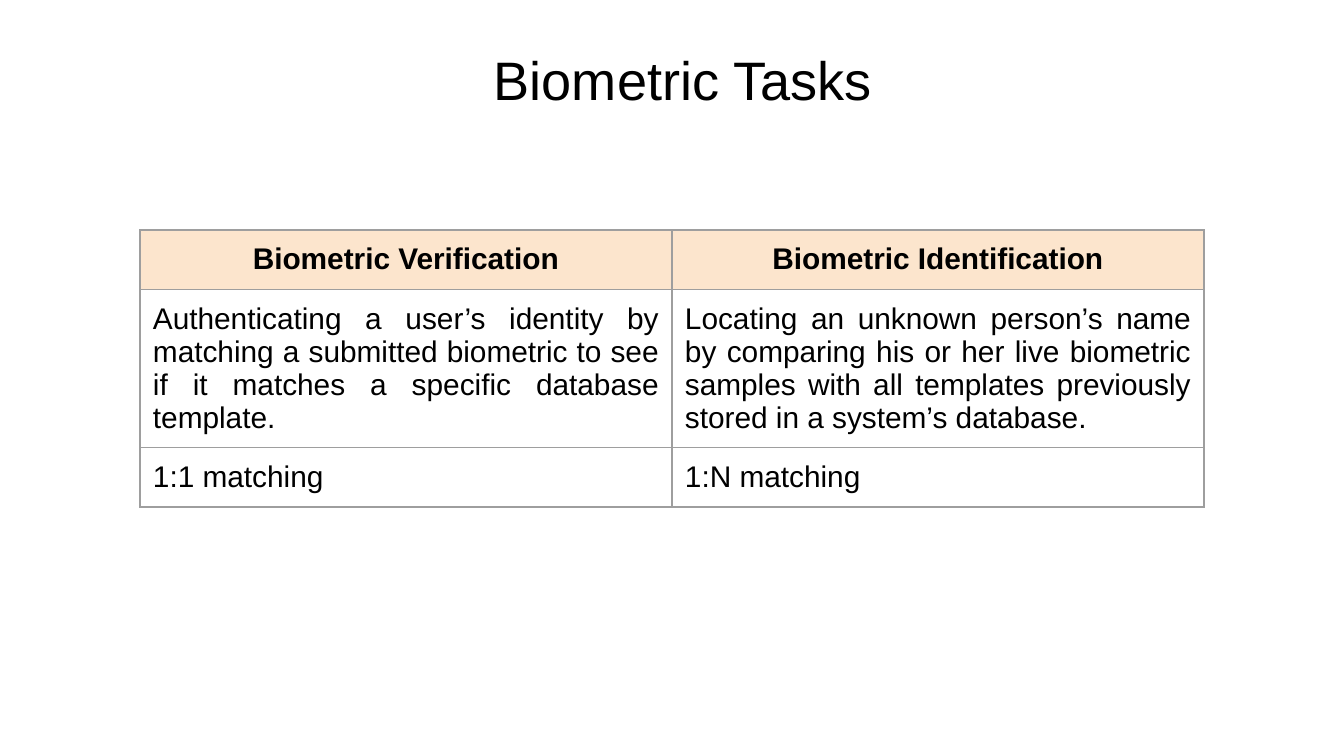
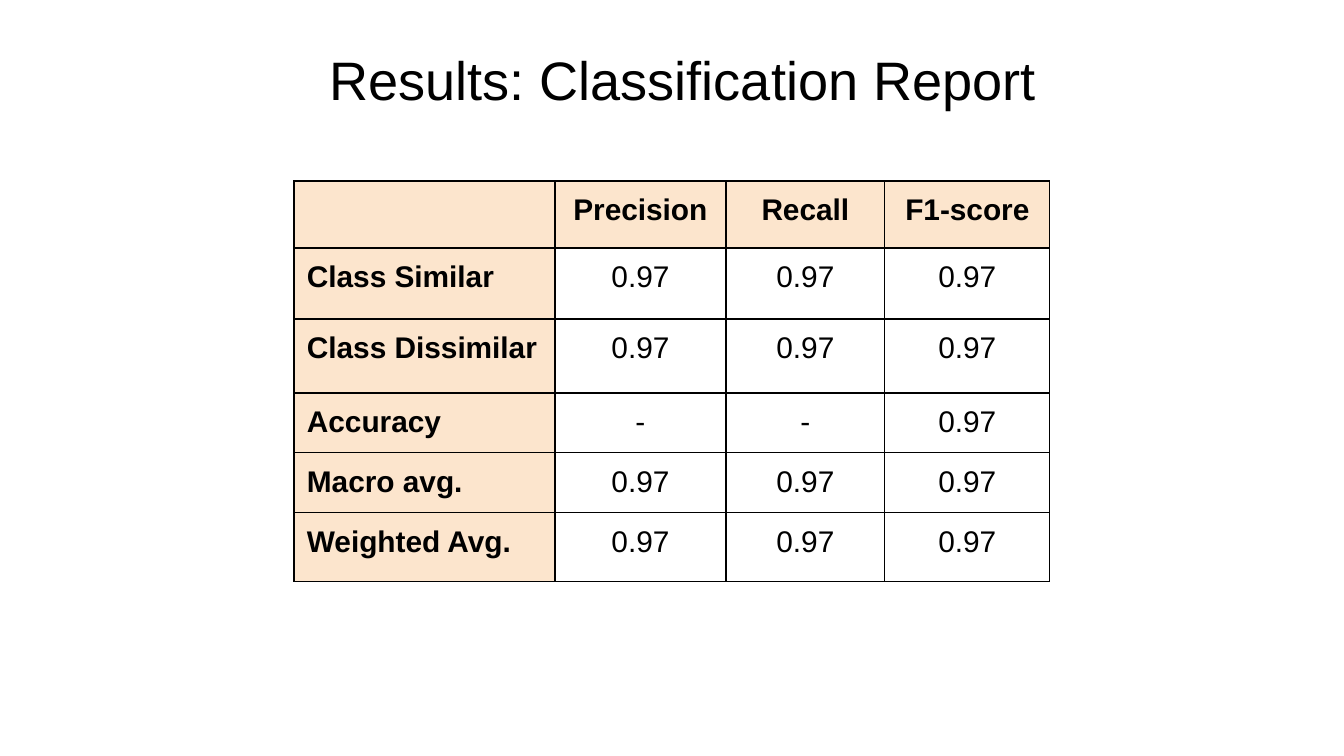
from lxml import etree
from pptx import Presentation
from pptx import util as u
from pptx.dml.color import RGBColor
from pptx.enum import text
from pptx.oxml import ns

PX = 914400 / 134.4  # EMU in one px
FONT, BLACK, PEACH = "Arial", "000000", "FCE5CD"
INSET = 13
TITLE_BOX = (118, 34, 1130, 90)
NO_STYLE = "{2D5ABB26-0587-4C30-8999-92F81FD0307C}"
LEFT, CENTER, JUSTIFY = text.PP_ALIGN.LEFT, text.PP_ALIGN.CENTER, text.PP_ALIGN.JUSTIFY

SCORE = "0.97"
SLIDES = [
    dict(
        title="Biometric Tasks",
        corner=(140, 230), widths=[532, 532], heights=[56, 56, 56],
        border="9E9E9E", label_column=False, body_align=JUSTIFY,
        rows=[
            ["Biometric Verification", "Biometric Identification"],
            ["Authenticating a user’s identity by matching a submitted biometric "
             "to see if it matches a specific database template. ",
             "Locating an unknown person’s name by comparing his or her live biometric "
             "samples with all templates previously stored in a system’s database."],
            ["1:1 matching", "1:N matching"],
        ],
    ),
    dict(
        title="Results: Classification Report",
        corner=(294, 181), widths=[261, 171, 159, 165], heights=[65, 71, 74, 60, 60, 69],
        border=BLACK, label_column=True, body_align=CENTER,
        rows=[
            ["", "Precision", "Recall", "F1-score"],
            ["Class Similar", SCORE, SCORE, SCORE],
            ["Class Dissimilar", SCORE, SCORE, SCORE],
            ["Accuracy", "-", "-", SCORE],
            ["Macro avg.", SCORE, SCORE, SCORE],
            ["Weighted Avg.", SCORE, SCORE, SCORE],
        ],
    ),
]


def px(length):
    return u.Emu(round(length * PX))


def color(value):
    return RGBColor.from_string(value)


def write(frame, words, size=16, bold=False, align=LEFT):
    para = frame.paragraphs[0]
    para.alignment = align
    if words:
        span = para.add_run()
        span.text = words
        span.font.name, span.font.size, span.font.bold = FONT, u.Pt(size), bold
        span.font.color.rgb = color(BLACK)


def set_insets(holder):
    holder.margin_left = holder.margin_right = px(INSET)
    holder.margin_top = holder.margin_bottom = px(INSET)


def add_borders(cell, line_color):
    """Draw all four cell edges; call before the cell gets its fill."""
    properties = cell._tc.get_or_add_tcPr()
    for edge in ("a:lnL", "a:lnR", "a:lnT", "a:lnB"):
        line = etree.SubElement(properties, ns.qn(edge), w=str(u.Pt(0.75)))
        fill = etree.SubElement(line, ns.qn("a:solidFill"))
        etree.SubElement(fill, ns.qn("a:srgbClr"), val=line_color)


def add_title(page, words):
    box = page.shapes.title
    box.left, box.top, box.width, box.height = map(px, TITLE_BOX)
    frame = box.text_frame
    frame.auto_size = text.MSO_AUTO_SIZE.NONE
    frame.word_wrap = True
    frame.vertical_anchor = text.MSO_ANCHOR.BOTTOM
    set_insets(frame)
    write(frame, words, size=29, align=CENTER)


def add_grid(page, rows, corner, widths, heights, border, label_column, body_align):
    frame = page.shapes.add_table(
        len(rows), len(widths), *map(px, (*corner, sum(widths), sum(heights))))
    table = frame.table
    table.first_row = table.horz_banding = False
    table._tbl.tblPr.find(ns.qn("a:tableStyleId")).text = NO_STYLE
    for column, width in zip(table.columns, widths):
        column.width = px(width)
    for row, height in zip(table.rows, heights):
        row.height = px(height)

    for r, line in enumerate(rows):
        for c, words in enumerate(line):
            cell = table.cell(r, c)
            header, label = r == 0, label_column and c == 0
            set_insets(cell)
            add_borders(cell, border)
            if header or label:
                cell.fill.solid()
                cell.fill.fore_color.rgb = color(PEACH)
            else:
                cell.fill.background()
            align = CENTER if header else LEFT if label else body_align
            write(cell.text_frame, words, bold=header or label, align=align)


def main():
    deck = Presentation()
    deck.slide_width, deck.slide_height = px(1344), px(756)
    title_only = deck.slide_layouts.get_by_name("Title Only")
    for content in SLIDES:
        page = deck.slides.add_slide(title_only)
        grid = dict(content)
        add_title(page, grid.pop("title"))
        add_grid(page, **grid)
    deck.save("out.pptx")


if __name__ == "__main__":
    main()
